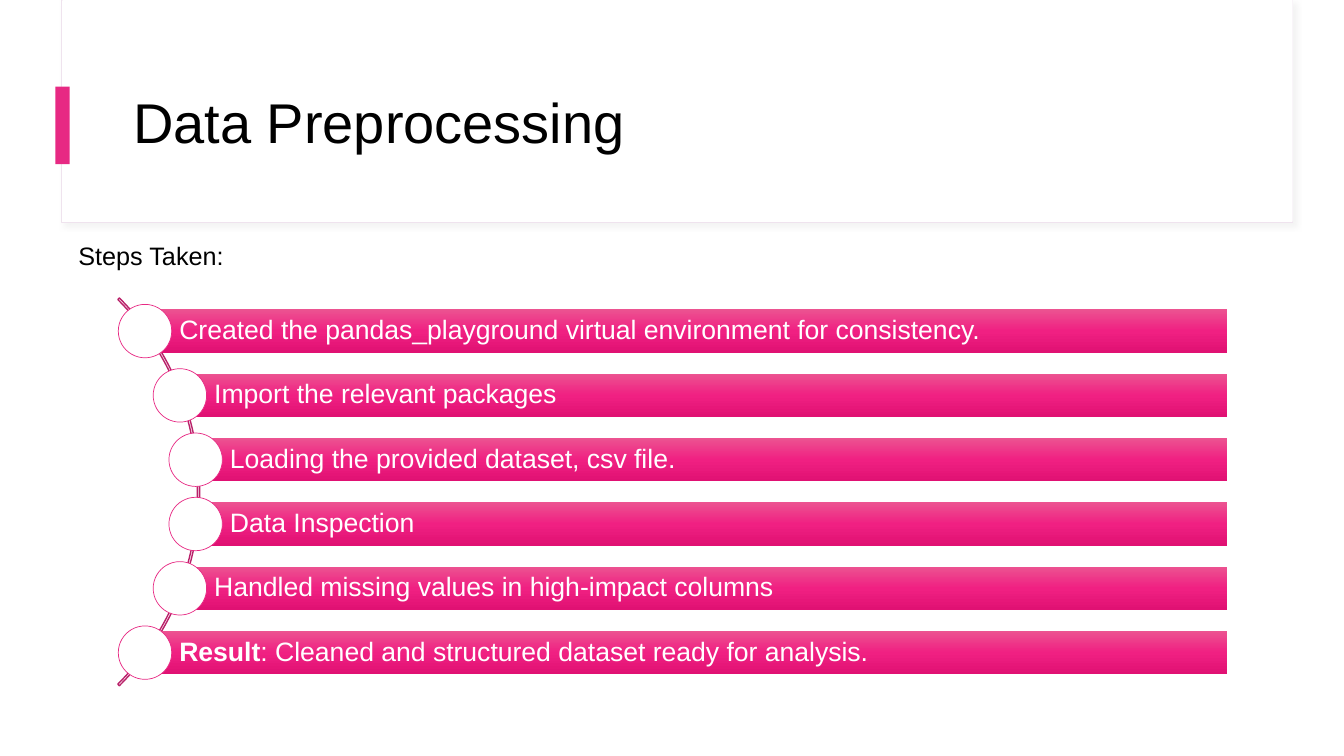
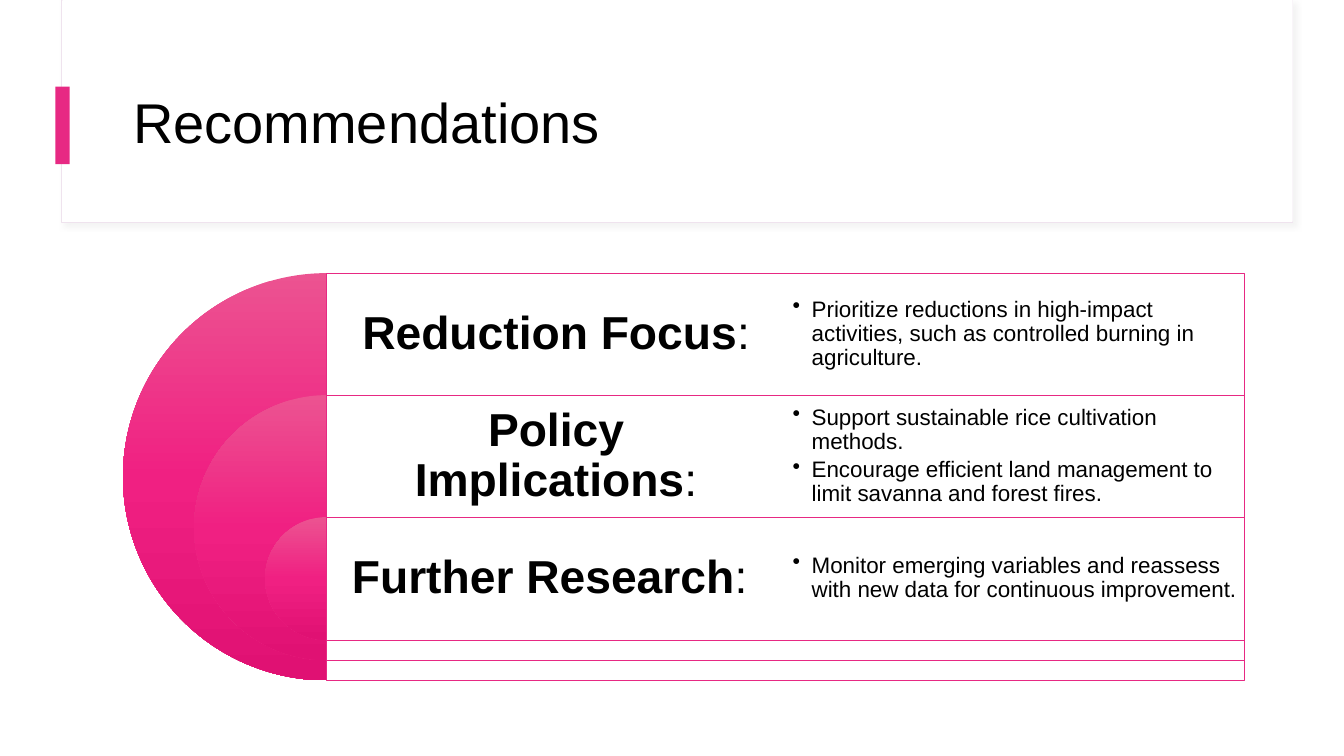
import math

import lxml.etree
import pptx
import pptx.dml.color
import pptx.enum.shapes
import pptx.enum.text
import pptx.oxml
import pptx.oxml.ns
import pptx.util

Inches = pptx.util.Inches
Pt = pptx.util.Pt
RGBColor = pptx.dml.color.RGBColor
Preset = pptx.enum.shapes.MSO_SHAPE
Align = pptx.enum.text.PP_ALIGN
qn = pptx.oxml.ns.qn

WHITE = RGBColor(0xFF, 0xFF, 0xFF)
BLACK = RGBColor(0x00, 0x00, 0x00)
PINK = RGBColor(0xE7, 0x29, 0x83)
DARK_PINK = RGBColor(0xB9, 0x21, 0x69)
FRAME_LINE = RGBColor(0xEF, 0xE3, 0xEE)
SHADOW = RGBColor(0xD9, 0xD9, 0xD9)
GRADIENT = (
    (0, RGBColor(0xEC, 0x53, 0x91)),
    (50, RGBColor(0xF0, 0x20, 0x82)),
    (100, RGBColor(0xE0, 0x11, 0x73)),
)
FONT = "Arial"
TITLE_ONLY = 5

STEPS = (
    (("Created the pandas_playground virtual environment for consistency.", False),),
    (("Import the relevant packages", False),),
    (("Loading the provided dataset, csv file.", False),),
    (("Data Inspection", False),),
    (("Handled missing values in high-impact columns", False),),
    (("Result", True), (": Cleaned and structured dataset ready for analysis.", False)),
)
RECOMMENDATIONS = (
    ("Reduction Focus", ":", (
        "Prioritize reductions in high-impact activities, such as controlled burning in agriculture.",)),
    ("Policy Implications", ":", (
        "Support sustainable rice cultivation methods.",
        "Encourage efficient land management to limit savanna and forest fires.")),
    ("Further Research", ": ", (
        "Monitor emerging variables and reassess with new data for continuous improvement.",)),
)


def add_preset(page, preset, box, fill=None, line=None, width=0.5):
    """Add a preset shape without shadow in a box given in inches."""
    shape = page.shapes.add_shape(preset, *map(Inches, box))
    shape.shadow.inherit = False
    if fill is None:
        shape.fill.background()
    else:
        shape.fill.solid()
        shape.fill.fore_color.rgb = fill
    if line is None:
        shape.line.fill.background()
    else:
        shape.line.color.rgb = line
        shape.line.width = Pt(width)
    return shape


def apply_gradient(shape):
    """Fill a shape with the pink gradient, light at the top."""
    shape.fill.gradient()
    gradient = shape.element.spPr.find(qn("a:gradFill"))
    stops = gradient.find(qn("a:gsLst"))
    for stop in list(stops):
        stops.remove(stop)
    for position, colour in GRADIENT:
        stop = lxml.etree.SubElement(stops, qn("a:gs"), pos=str(position * 1000))
        lxml.etree.SubElement(stop, qn("a:srgbClr"), val=str(colour))
    direction = gradient.find(qn("a:lin"))
    direction.set("ang", "5400000")
    direction.set("scaled", "0")


def apply_opacity(shape, percent):
    """Set the opacity of a solid fill."""
    colour = shape.element.spPr.find(qn("a:solidFill")).find(qn("a:srgbClr"))
    lxml.etree.SubElement(colour, qn("a:alpha"), val=str(percent * 1000))


def apply_soft_shadow(shape):
    """Give a shape a faint shadow to its lower right."""
    effects = shape.element.spPr.find(qn("a:effectLst"))
    shadow = lxml.etree.SubElement(
        effects, qn("a:outerShdw"), blurRad=str(Pt(4)), dist=str(Pt(3)), dir="2700000")
    colour = lxml.etree.SubElement(shadow, qn("a:srgbClr"), val=str(SHADOW))
    lxml.etree.SubElement(colour, qn("a:alpha"), val="30000")


def prepare_frame(shape, insets):
    """Wrap and centre the text vertically, with insets left, top, right, bottom."""
    frame = shape.text_frame
    frame.word_wrap = True
    frame.vertical_anchor = pptx.enum.text.MSO_ANCHOR.MIDDLE
    (frame.margin_left, frame.margin_top,
     frame.margin_right, frame.margin_bottom) = map(Inches, insets)
    return frame


def write_paragraph(para, spans, size, colour, align=Align.LEFT, spacing=0.9):
    """Write (text, bold) spans into a paragraph."""
    para.alignment = align
    para.line_spacing = spacing
    para.font.name = FONT
    para.font.size = Pt(size)
    para.font.color.rgb = colour
    for text, bold in spans:
        span = para.add_run()
        span.text = text
        span.font.bold = bold


def add_text(page, box, insets):
    """Add a wrapped text box and return its frame."""
    return prepare_frame(page.shapes.add_textbox(*map(Inches, box)), insets)


def write_bullets(frame, items):
    """Write bulleted paragraphs with a hanging indent."""
    for index, item in enumerate(items):
        para = frame.add_paragraph() if index else frame.paragraphs[0]
        write_paragraph(para, ((item, False),), 16, BLACK)
        para.space_after = Pt(3)
        properties = para._p.get_or_add_pPr()
        properties.set("marL", str(Inches(0.19)))
        properties.set("indent", str(Inches(-0.19)))
        bullet = pptx.oxml.parse_xml(
            '<a:buChar xmlns:a="http://schemas.openxmlformats.org/drawingml/2006/main" char="•"/>')
        properties.find(qn("a:defRPr")).addprevious(bullet)


def add_page(deck, title):
    """Add a slide with the framed title band and its accent bar."""
    page = deck.slides.add_slide(deck.slide_layouts[TITLE_ONLY])
    band = add_preset(page, Preset.RECTANGLE, (0.61, 0, 12.21, 2.21), WHITE, FRAME_LINE, 0.75)
    apply_soft_shadow(band)
    add_preset(page, Preset.RECTANGLE, (0.62, 0, 12.2, 2.2), WHITE)
    add_preset(page, Preset.RECTANGLE, (0.55, 0.86, 0.14, 0.77), PINK)
    heading = page.shapes.title
    heading.left, heading.top, heading.width, heading.height = map(Inches, (1.22, 0.6, 11.12, 1.29))
    page.shapes.element.append(heading.element)
    frame = prepare_frame(heading, (0.1, 0.05, 0.1, 0.05))
    write_paragraph(frame.paragraphs[0], ((title, False),), 40, BLACK)
    return page


def add_step_list(page, box, steps):
    """Place step bars whose dots follow an arc on the left of the box."""
    left, top, width, height = box
    bar, dot, diameter, radius = 0.43, 0.53, 5.44, 2.7
    pitch = (height - bar) / (len(steps) - 1)
    centre_x, centre_y = left - 1.91, top + height / 2
    arc = add_preset(
        page, Preset.BLOCK_ARC,
        (centre_x - diameter / 2, centre_y - diameter / 2, diameter, diameter), None, DARK_PINK, 1)
    for index, value in enumerate((189, 27, 0.004)):
        arc.adjustments[index] = value
    for index, spans in enumerate(steps):
        bar_top = top + index * pitch
        middle = bar_top + bar / 2
        start = centre_x + math.sqrt(radius ** 2 - (middle - centre_y) ** 2)
        shape = add_preset(
            page, Preset.RECTANGLE, (start, bar_top, left + width - start, bar), WHITE)
        apply_gradient(shape)
        frame = prepare_frame(shape, (0.34, 0.05, 0.05, 0.05))
        write_paragraph(frame.paragraphs[0], spans, 19, WHITE)
        add_preset(page, Preset.OVAL, (start - dot / 2, middle - dot / 2, dot, dot), WHITE, PINK)


def add_nested_targets(page, box, recommendations):
    """Place nested half discs, each with a row of heading and bullets."""
    left, top, width, height = box
    row, step = 1.21, 1.41
    middle = left + height / 2
    panel = width - height / 2
    column = panel / 2
    for index, (heading, ending, items) in enumerate(recommendations):
        row_top = top + index * row
        diameter = height - index * step
        disc = add_preset(
            page, Preset.PIE, (middle - diameter / 2, row_top, diameter, diameter), WHITE)
        disc.adjustments[0], disc.adjustments[1] = 54, 162
        apply_gradient(disc)
        plate = add_preset(page, Preset.RECTANGLE, (middle, row_top, panel, diameter), WHITE, PINK)
        apply_opacity(plate, 90)
        frame = add_text(page, (middle, row_top, column, row), (0.14,) * 4)
        write_paragraph(
            frame.paragraphs[0], ((heading, True), (ending, False)), 33, BLACK, Align.CENTER)
        write_bullets(add_text(page, (middle + column, row_top, column, row), (0.07,) * 4), items)


def main():
    """Build and save the deck."""
    deck = pptx.Presentation()
    deck.slide_width, deck.slide_height = Inches(13.33), Inches(7.5)

    page = add_page(deck, "Data Preprocessing")
    add_step_list(page, (1.17, 3.07, 11, 3.62), STEPS)
    frame = add_text(page, (0.68, 2.33, 4.7, 0.4), (0.1, 0.05, 0.1, 0.05))
    write_paragraph(frame.paragraphs[0], (("Steps Taken:", False),), 18, BLACK, spacing=1.0)

    page = add_page(deck, "Recommendations")
    add_nested_targets(page, (1.22, 2.71, 11.12, 4.04), RECOMMENDATIONS)

    deck.save("out.pptx")


if __name__ == "__main__":
    main()
